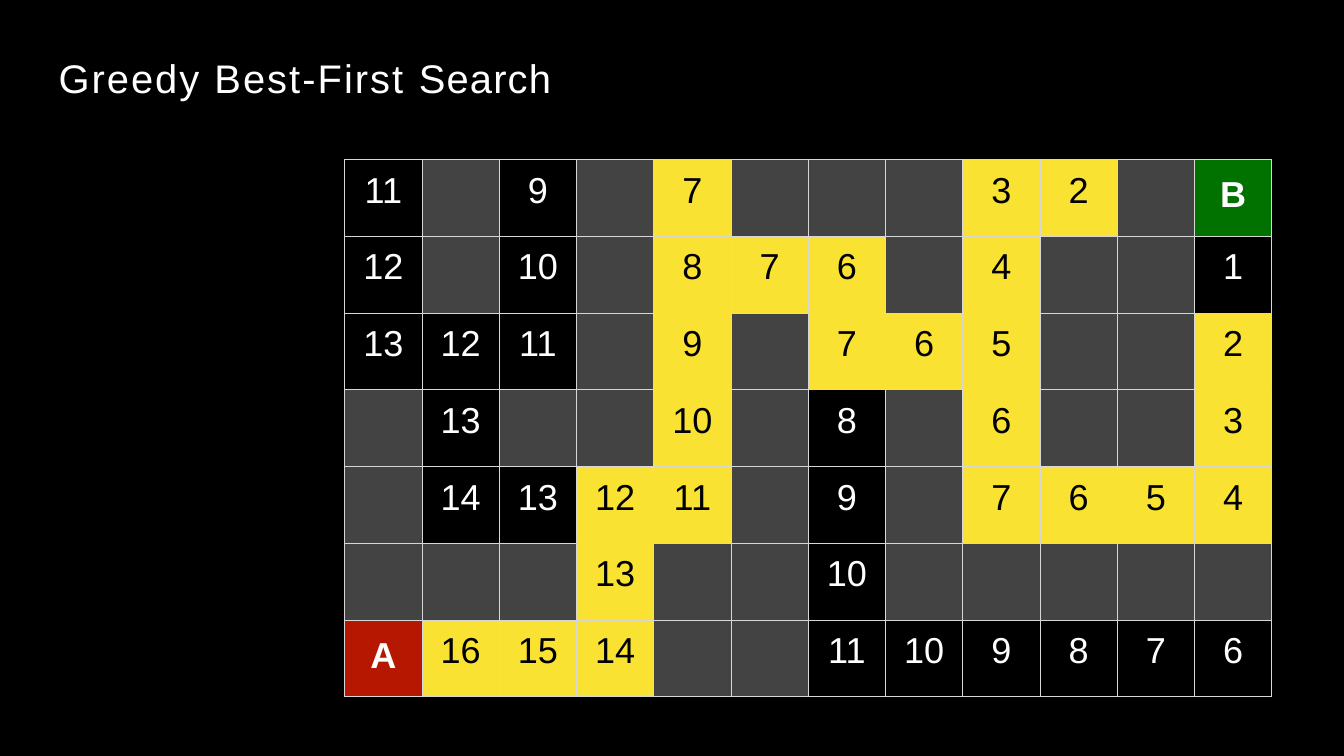
from dataclasses import dataclass

from lxml.etree import SubElement
from pptx import Presentation
from pptx.dml.color import RGBColor as Rgb
from pptx.enum.text import MSO_ANCHOR as Anchor, MSO_AUTO_SIZE as AutoSize, PP_ALIGN as Align
from pptx.oxml.ns import qn
from pptx.util import Cm, Pt


@dataclass(frozen=True)
class Theme:
    font: str = "Arial"
    title_size: float = 47
    cell_size: float = 42.5
    black: str = "000000"
    white: str = "FFFFFF"
    wall: str = "434343"
    path_cell: str = "FAE232"
    start: str = "B51700"
    goal: str = "017100"
    border: str = "D6D7D6"


theme = Theme()

# "#" is a wall, "*" marks a cell on the explored route
MAZE = """
11 #  9  #   *7  #  #  #  *3 *2 #  B
12 #  10 #   *8  *7 *6 #  *4 #  #  1
13 12 11 #   *9  #  *7 *6 *5 #  #  *2
#  13 #  #   *10 #  8  #  *6 #  #  *3
#  14 13 *12 *11 #  9  #  *7 *6 *5 *4
#  #  #  *13 #   #  10 #  #  #  #  #
A  *16 *15 *14 # #  11 10 9  8  7  6
"""
maze_rows = [line.split() for line in MAZE.strip().splitlines()]
SPECIAL_FILLS = {"#": theme.wall, "A": theme.start, "B": theme.goal}
TITLE_RUNS = [("Greedy ", 2.3), ("Best-First ", 2.4), ("Search", 1.4)]


def set_font(run, size, color, bold=False):
    values = {"name": theme.font, "size": Pt(size), "bold": bold}
    for name, value in values.items():
        setattr(run.font, name, value)
    run.font.color.rgb = Rgb.from_string(color)


def add_borders(cell):
    properties = cell._tc.get_or_add_tcPr()
    for side in "LRTB":
        line = SubElement(properties, qn(f"a:ln{side}"), w=str(Pt(1)))
        fill = SubElement(line, qn("a:solidFill"))
        SubElement(fill, qn("a:srgbClr"), val=theme.border)


presentation = Presentation()
presentation.slide_width, presentation.slide_height = Cm(55.85), Cm(31.42)
slide = presentation.slides.add_slide(presentation.slide_layouts[5])
slide.background.fill.solid()
slide.background.fill.fore_color.rgb = Rgb.from_string(theme.black)

# Title
title = slide.shapes.title
title_box = {"left": 2.44, "top": 2.18, "width": 20.5, "height": 2.06}
for name, value in title_box.items():
    setattr(title, name, Cm(value))
frame_format = {
    "margin_left": 0, "margin_right": 0, "margin_top": Cm(0.03), "margin_bottom": 0,
    "vertical_anchor": Anchor.TOP, "auto_size": AutoSize.NONE, "word_wrap": True,
}
for name, value in frame_format.items():
    setattr(title.text_frame, name, value)
paragraph = title.text_frame.paragraphs[0]
paragraph.alignment = Align.LEFT
for text, spacing in TITLE_RUNS:
    run = paragraph.add_run()
    run.text = text
    set_font(run, theme.title_size, theme.white)
    run._r.get_or_add_rPr().set("spc", str(round(spacing * 100)))

# Maze
row_count, column_count = len(maze_rows), len(maze_rows[0])
cell_width, cell_height = Cm(3.21), Cm(3.19)
table = slide.shapes.add_table(
    row_count, column_count, Cm(14.33), Cm(6.63),
    cell_width * column_count, cell_height * row_count,
).table
table.first_row = table.horz_banding = False

for row_index, tokens in enumerate(maze_rows):
    for column_index, token in enumerate(tokens):
        on_route, is_end = token.startswith("*"), token in "AB"
        cell = table.cell(row_index, column_index)
        add_borders(cell)
        cell.fill.solid()
        color = theme.path_cell if on_route else SPECIAL_FILLS.get(token, theme.black)
        cell.fill.fore_color.rgb = Rgb.from_string(color)
        cell.margin_left = cell.margin_right = cell.margin_bottom = 0
        cell.margin_top = Cm(0.65 if is_end else 0.46)
        if token == "#":
            continue
        paragraph = cell.text_frame.paragraphs[0]
        paragraph.alignment = Align.CENTER
        run = paragraph.add_run()
        run.text = token.lstrip("*")
        set_font(run, theme.cell_size, theme.black if on_route else theme.white, is_end)

presentation.save("out.pptx")
